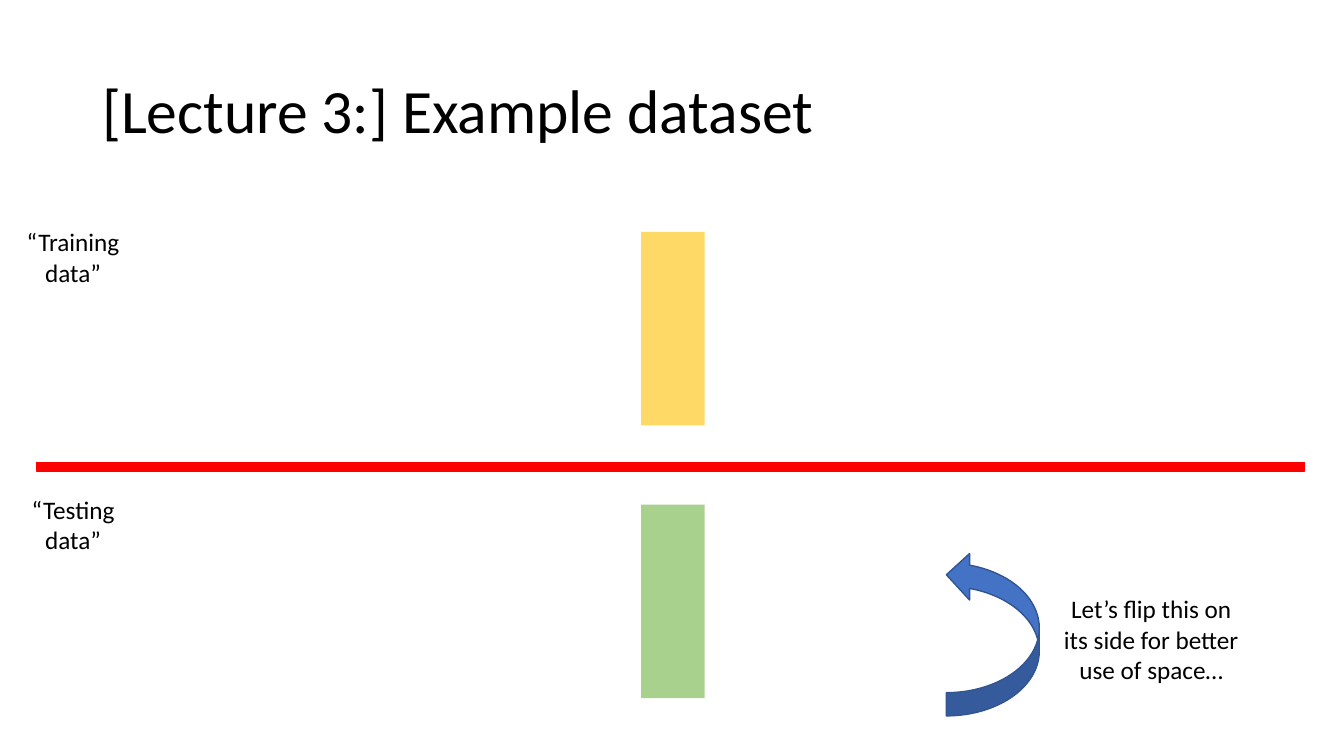
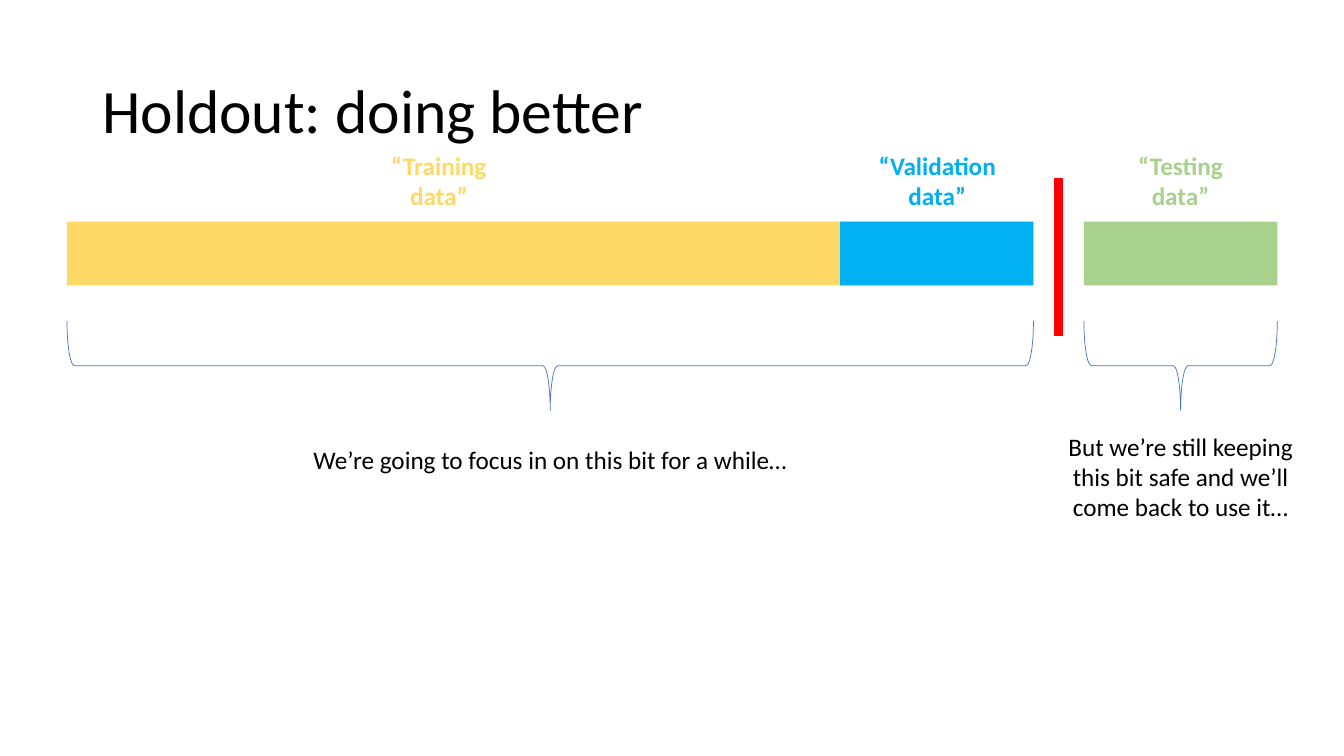
"""Build two slides on splitting a dataset into training, validation and testing data."""
from dataclasses import dataclass

from pptx import Presentation
from pptx.dml.color import RGBColor
from pptx.enum import shapes, text
from pptx.util import Pt


@dataclass(frozen=True)
class Theme:
    font: str = "Calibri"
    title_size: float = 44
    body_size: float = 18
    ink: str = "000000"
    paper: str = "FFFFFF"
    divider: str = "FF0000"
    training: str = "FFD966"
    validation: str = "00B0F0"
    testing: str = "A9D18E"
    accent: str = "4472C4"
    accent_dark: str = "325491"


THEME = Theme()
SHAPE = shapes.MSO_SHAPE
SLIDE_SIZE = (960, 540)
TITLE_BOX = (66, 28.8, 828, 104.4)
BAR_THICKNESS, BAR_LENGTH = 45.4, 138.2
LABEL_HEIGHT = 51

UPRIGHT = {
    "title": "[Lecture 3:] Example dataset",
    "bar_left": 458,
    "label_box": (11.5, 81.4),
    "divider": (26, 330.5, 906, 6),
    "rows": [
        ("“Training data”", 158.4, 165.6, THEME.training),
        ("“Testing data”", 349.2, 360.5, THEME.testing),
    ],
    "arrow": (676, 394, 66.4, 117.4),
    "hint": ("Let’s flip this on its side for better use of space…", (751, 420.5, 142.6, 72.7)),
}

SIDEWAYS = {
    "title": "Holdout: doing better",
    "label_top": 103.7,
    "bar_top": 158.4,
    "divider": (753.1, 127.5, 6, 112.3),
    "bars": [
        ("“Training data”", 47.8, 690.4, THEME.training, 313.5, 84.2),
        ("“Validation data”", 600, BAR_LENGTH, THEME.validation, 669.5, 100),
        ("“Testing data”", 774.2, BAR_LENGTH, THEME.testing, 843.3, 81.4),
    ],
    "brace_top": 229.2,
    "brace_depth": 64,
    "captions": [
        ("We’re going to focus in on this bit for a while…", 47.8, 690.4, 314, 480, 29),
        ("But we’re still keeping this bit safe and we’ll come back to use it…",
         774.2, BAR_LENGTH, 304.5, 195, 72.7),
    ],
}


def color(value):
    return RGBColor.from_string(value)


def add_text(slide, wording, box, size=THEME.body_size, ink=THEME.ink, bold=False, fill=None):
    shape = slide.shapes.add_textbox(*map(Pt, box))
    if fill:
        shape.fill.solid()
        shape.fill.fore_color.rgb = color(fill)
    frame = shape.text_frame
    frame.text = wording
    frame.word_wrap = True
    paragraph = frame.paragraphs[0]
    paragraph.alignment = text.PP_ALIGN.CENTER
    font = paragraph.runs[0].font
    font.name, font.size, font.bold = THEME.font, Pt(size), bold
    font.color.rgb = color(ink)
    return frame


def add_figure(slide, kind, box, fill=None, line=None, line_width=1):
    shape = slide.shapes.add_shape(kind, *map(Pt, box))
    shape.shadow.inherit = False
    if fill:
        shape.fill.solid()
        shape.fill.fore_color.rgb = color(fill)
    else:
        shape.fill.background()
    if line:
        shape.line.color.rgb = color(line)
        shape.line.width = Pt(line_width)
    else:
        shape.line.fill.background()
    return shape


def add_slide(presentation, content):
    slide = presentation.slides.add_slide(presentation.slide_layouts[6])
    frame = add_text(slide, content["title"], TITLE_BOX, THEME.title_size)
    frame.vertical_anchor = text.MSO_ANCHOR.MIDDLE
    frame.paragraphs[0].alignment = text.PP_ALIGN.LEFT
    frame.paragraphs[0].line_spacing = 0.9
    add_figure(slide, SHAPE.RECTANGLE, content["divider"], THEME.divider, THEME.divider)
    return slide


def add_brace(slide, left, width, top, depth):
    center_x, center_y = left + width / 2, top + depth / 2
    box = (center_x - depth / 2, center_y - width / 2, depth, width)
    brace = add_figure(slide, SHAPE.RIGHT_BRACE, box, line=THEME.accent, line_width=0.5)
    brace.rotation = 90


def build_upright(presentation):
    slide = add_slide(presentation, UPRIGHT)
    label_left, label_width = UPRIGHT["label_box"]
    for wording, label_top, bar_top, fill in UPRIGHT["rows"]:
        add_text(slide, wording, (label_left, label_top, label_width, LABEL_HEIGHT),
                 fill=THEME.paper)
        add_figure(slide, SHAPE.RECTANGLE,
                   (UPRIGHT["bar_left"], bar_top, BAR_THICKNESS, BAR_LENGTH), fill)
    arrow = add_figure(slide, SHAPE.CURVED_LEFT_ARROW, UPRIGHT["arrow"],
                       THEME.accent, THEME.accent_dark)
    arrow._element.spPr.xfrm.set("flipV", "1")
    hint, hint_box = UPRIGHT["hint"]
    add_text(slide, hint, hint_box, fill=THEME.paper)


def build_sideways(presentation):
    slide = add_slide(presentation, SIDEWAYS)
    for wording, left, width, fill, label_center, label_width in SIDEWAYS["bars"]:
        add_figure(slide, SHAPE.RECTANGLE,
                   (left, SIDEWAYS["bar_top"], width, BAR_THICKNESS), fill)
        label_box = (label_center - label_width / 2, SIDEWAYS["label_top"],
                     label_width, LABEL_HEIGHT)
        add_text(slide, wording, label_box, ink=fill, bold=True, fill=THEME.paper)
    for wording, left, width, top, text_width, height in SIDEWAYS["captions"]:
        add_brace(slide, left, width, SIDEWAYS["brace_top"], SIDEWAYS["brace_depth"])
        add_text(slide, wording, (left + (width - text_width) / 2, top, text_width, height))


def main():
    presentation = Presentation()
    presentation.slide_width, presentation.slide_height = map(Pt, SLIDE_SIZE)
    build_upright(presentation)
    build_sideways(presentation)
    presentation.save("out.pptx")


if __name__ == "__main__":
    main()
